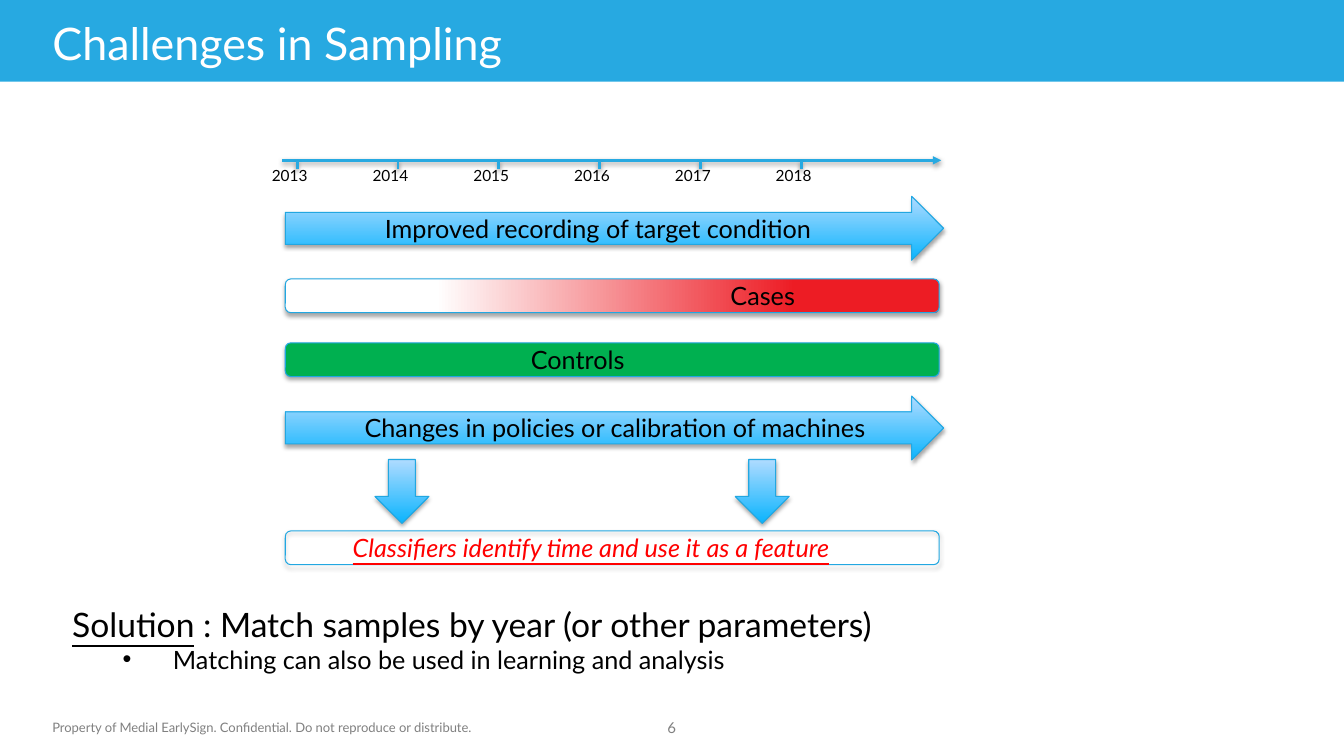
from lxml.etree import SubElement
from pptx import Presentation
from pptx.dml.color import RGBColor
from pptx.enum.shapes import MSO_CONNECTOR as Connector, MSO_SHAPE as Shape
from pptx.enum.text import MSO_ANCHOR as Anchor, PP_ALIGN as Align
from pptx.oxml.ns import qn
from pptx.util import Cm, Pt

FONT = "Lato"
HEADER_BLUE = RGBColor(0x27, 0xA9, 0xE1)
OUTLINE_BLUE = RGBColor(0x22, 0xA7, 0xE1)
DEEP_BLUE = RGBColor(0x0B, 0xB4, 0xFD)
PALE_BLUE = RGBColor(0xAF, 0xDB, 0xFF)
CASE_RED = RGBColor(0xED, 0x1C, 0x24)
CONTROL_GREEN = RGBColor(0x00, 0xB0, 0x50)
ALERT_RED = RGBColor(0xFF, 0x00, 0x00)
GREY = RGBColor(0x80, 0x80, 0x80)
WHITE = RGBColor(0xFF, 0xFF, 0xFF)
BLACK = RGBColor(0x00, 0x00, 0x00)

BLUE_FADE = {"stops": [(0, DEEP_BLUE), (1, PALE_BLUE)], "angle": 90}
CASE_FADE = {"stops": [(0.23, WHITE), (0.78, CASE_RED)], "angle": 0}

BAND_LEFT, BAND_WIDTH, BAND_HEIGHT = 7.19, 16.48, 0.85
ARROW_WIDTH, ARROW_HEIGHT = 16.59, 1.61
AXIS_TOP, YEAR_STEP = 4.04, 2.54


def add_shadow(properties, opacity, distance):
    """Add a soft black shadow that falls straight down."""
    effects = SubElement(properties, qn("a:effectLst"))
    shadow = SubElement(effects, qn("a:outerShdw"), blurRad=str(Pt(3.1)),
                        dist=str(Pt(distance)), dir="5400000", rotWithShape="0")
    black = SubElement(shadow, qn("a:srgbClr"), val=str(BLACK))
    SubElement(black, qn("a:alpha"), val=str(opacity * 1000))


def add_text(paragraph, text, size=18, color=BLACK, italic=False, underline=False):
    """Add a formatted run to a paragraph."""
    run = paragraph.add_run()
    run.text = text
    font = run.font
    font.name, font.size, font.italic, font.underline = FONT, Pt(size), italic, underline
    font.color.rgb = color


def add_label(slide, place, text, align=Align.LEFT, wrap=True, **style):
    """Add a text box with one formatted run and return its frame."""
    frame = slide.shapes.add_textbox(*map(Cm, place)).text_frame
    frame.word_wrap = wrap
    frame.vertical_anchor = Anchor.TOP
    frame.paragraphs[0].alignment = align
    add_text(frame.paragraphs[0], text, **style)
    return frame


def add_band(slide, kind, place, color=None, fade=None):
    """Add an outlined, shadowed shape with a solid, faded or empty fill."""
    band = slide.shapes.add_shape(kind, *map(Cm, place))
    if fade:
        band.fill.gradient()
        band.fill.gradient_angle = fade["angle"]
        for stop, (position, shade) in zip(band.fill.gradient_stops, fade["stops"]):
            stop.position = position
            stop.color.rgb = shade
    elif color is not None:
        band.fill.solid()
        band.fill.fore_color.rgb = color
    else:
        band.fill.background()
    band.line.color.rgb = OUTLINE_BLUE
    band.line.width = Pt(0.75)
    add_shadow(band._element.spPr, 35, 1.8)


def add_axis_line(slide, start, end, arrow=False):
    """Add one line of the time axis."""
    stroke = slide.shapes.add_connector(Connector.STRAIGHT, *map(Cm, start + end))
    stroke.line.color.rgb = HEADER_BLUE
    stroke.line.width = Pt(2)
    if arrow:
        SubElement(stroke.line._get_or_add_ln(), qn("a:tailEnd"), type="triangle")
    add_shadow(stroke._element.spPr, 38, 1.6)


def add_timeline(slide):
    """Draw the time axis with a tick and a label for each year."""
    add_axis_line(slide, (7.11, AXIS_TOP), (23.72, AXIS_TOP), arrow=True)
    for index, year in enumerate(range(2013, 2019)):
        tick = 7.49 + index * YEAR_STEP
        add_axis_line(slide, (tick, AXIS_TOP + 0.02), (tick, AXIS_TOP + 0.23))
        add_label(slide, (tick - 0.89, AXIS_TOP + 0.03, 1.75, 0.73), str(year), size=11)


def add_frame(slide):
    """Draw the header bar, the title and the footer."""
    header = slide.shapes.add_shape(Shape.RECTANGLE, *map(Cm, (0, -0.02, 33.87, 2.08)))
    header.fill.solid()
    header.fill.fore_color.rgb = HEADER_BLUE
    header.line.fill.background()
    header.shadow.inherit = False
    add_label(slide, (15.9, 17.98, 2.06, 0.71), "6", align=Align.CENTER,
              size=10.7, color=GREY)
    add_label(slide, (1.07, 18.01, 11.1, 0.66),
              "Property of Medial EarlySign. Confidential. Do not reproduce or distribute.",
              size=9.3, color=GREY)
    add_label(slide, (1.07, 0.28, 28.19, 1.93), "Challenges in Sampling",
              size=32, color=WHITE)


def add_effects(slide):
    """Draw the changes over time and what they lead to."""
    for top in (4.95, 9.98):
        add_band(slide, Shape.RIGHT_ARROW, (BAND_LEFT, top, ARROW_WIDTH, ARROW_HEIGHT),
                 fade=BLUE_FADE)
    for left in (9.45, 18.53):
        add_band(slide, Shape.DOWN_ARROW, (left, 11.58, 1.36, ARROW_HEIGHT), fade=BLUE_FADE)
    for top, fill in ((7.03, {"fade": CASE_FADE}), (8.64, {"color": CONTROL_GREEN}),
                      (13.38, {})):
        add_band(slide, Shape.ROUNDED_RECTANGLE,
                 (BAND_LEFT, top, BAND_WIDTH, BAND_HEIGHT), **fill)
    for left, top, width, text in (
            (9.45, 5.24, 11.99, "Improved recording of target condition"),
            (8.94, 10.27, 13.67, "Changes in policies or calibration of machines"),
            (18.16, 6.94, 2.51, "Cases"),
            (13.13, 8.55, 3.33, "Controls")):
        add_label(slide, (left, top, width, 1.03), text)
    add_label(slide, (8.64, 13.29, 13.97, 1.03),
              "Classifiers identify time and use it as a feature",
              color=ALERT_RED, italic=True, underline=True)


def add_solution(slide):
    """Write the solution and its bulleted remark."""
    solution = add_label(slide, (1.57, 15.09, 21.06, 2.06), "Solution", wrap=False,
                         size=24, underline=True)
    add_text(solution.paragraphs[0], " : Match samples by year (or other parameters)", size=24)
    remark = solution.add_paragraph()
    remark.level = 1
    layout = remark._p.get_or_add_pPr()
    layout.set("marL", str(Cm(2.54)))
    layout.set("indent", str(Cm(-1.27)))
    SubElement(layout, qn("a:buFont"), typeface="Arial")
    SubElement(layout, qn("a:buChar"), char="•")
    add_text(remark, "Matching can also be used in learning and analysis")


def main():
    """Build the slide and save it."""
    deck = Presentation()
    deck.slide_width, deck.slide_height = Cm(33.87), Cm(19.05)
    slide = deck.slides.add_slide(deck.slide_layouts[6])
    add_frame(slide)
    add_timeline(slide)
    add_effects(slide)
    add_solution(slide)
    deck.save("out.pptx")


if __name__ == "__main__":
    main()
